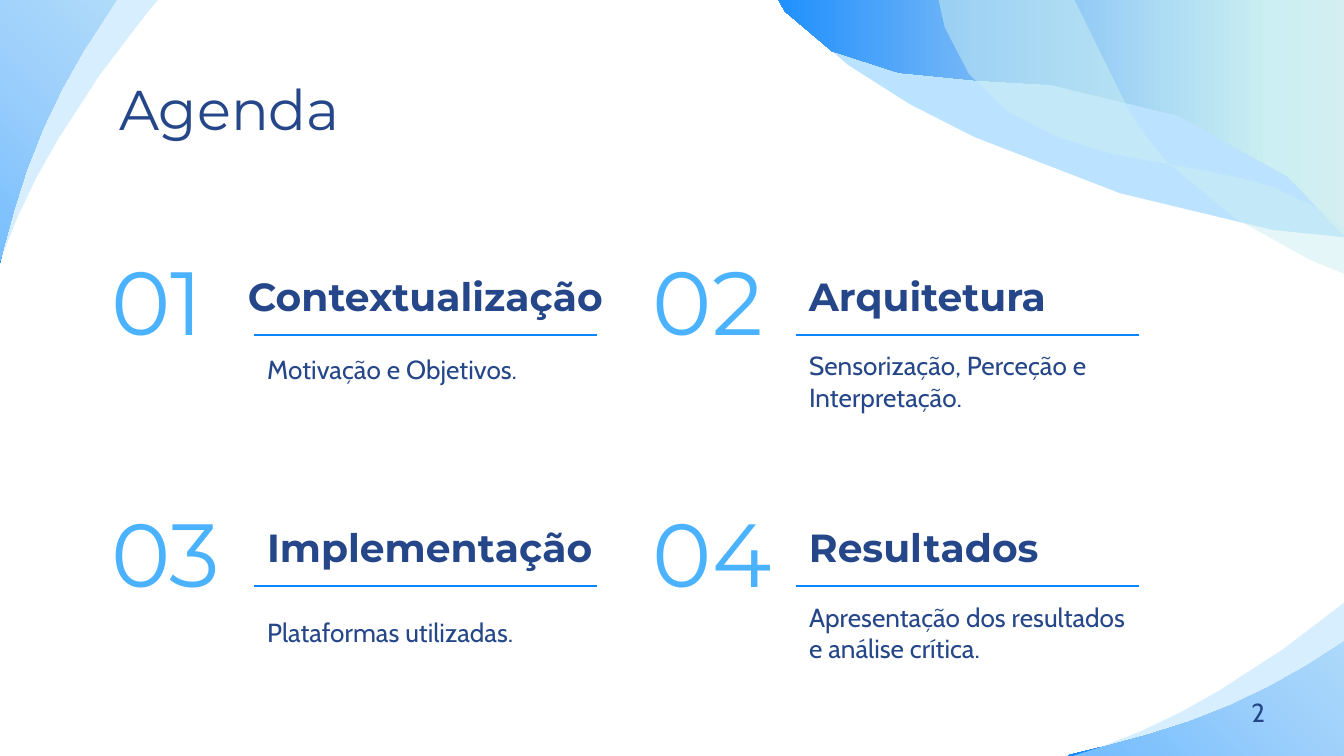
from dataclasses import dataclass, field
from lxml.etree import SubElement
from pptx import Presentation
from pptx.dml.color import RGBColor
from pptx.enum.shapes import MSO_CONNECTOR as Connector
from pptx.enum.text import MSO_ANCHOR as Anchor, MSO_AUTO_SIZE as AutoSize, PP_ALIGN as Align
from pptx.oxml.ns import qn
from pptx.util import Cm, Pt


@dataclass(frozen=True)
class Theme:
    ink: str = "254789"
    number: str = "4BB2FF"
    rule: str = "0885FF"
    pale: str = "BBE2FF"
    mint: str = "CBEFF2"
    gradient: tuple = ((0, "E5ECEF"), (28, "CBEFF2"), (66, "77B8F7"), (100, "0885FF"))
    heading_font: str = "Montserrat"
    body_font: str = "Cabin"
    title_size: float = 30
    number_size: float = 48
    heading_size: float = 21
    body_size: float = 14


@dataclass(frozen=True)
class Topic:
    heading: str
    detail: str
    heading_shift: float = 0
    heading_align: Align = Align.LEFT
    detail_shift: float = 0


TOPICS = [
    Topic("Contextualização", "Motivação e Objetivos.", -0.53, Align.CENTER, -0.23),
    Topic("Arquitetura", "Sensorização, Perceção e Interpretação."),
    Topic("Implementação", "Plataformas utilizadas."),
    Topic("Resultados", "Apresentação dos resultados e análise crítica."),
]

CM_PER_UNIT = 2.54
CURVE_STEPS = 3

EDGE_WAVE = [
    (1.41, -1.7), (1.29, -1.7, 1.17, -1.68, 1.06, -1.65),
    (0.74, -1.54, 0.47, -1.29, 0.29, -1), (0.11, -0.71, 0.01, -0.37, -0.06, -0.03),
    (-0.2, 0.69, -0.2, 1.44, -0.05, 2.16), (0.02, 1.86, 0.1, 1.55, 0.2, 1.26),
    (0.31, 0.95, 0.45, 0.66, 0.62, 0.38), (0.91, -0.12, 1.28, -0.57, 1.66, -1.01),
    (1.79, -1.16, 2.14, -1.43, 1.86, -1.59), (1.73, -1.67, 1.57, -1.7, 1.41, -1.7),
]
PALE_WAVE = [
    (5.23, -1.85), (5.19, -1.67, 5.17, -1.48, 5.19, -1.3),
    (5.23, -0.76, 5.52, -0.25, 5.9, 0.13), (6.28, 0.52, 6.76, 0.79, 7.25, 1.02),
    (8.31, 1.51, 9.46, 1.79, 10.63, 1.83), (10.19, 1.6, 9.75, 1.37, 9.33, 1.1),
    (8.9, 0.82, 8.51, 0.49, 8.14, 0.14), (7.48, -0.5, 6.92, -1.23, 6.39, -1.97),
    (6.2, -2.23, 5.92, -2.88, 5.56, -2.5), (5.4, -2.33, 5.29, -2.1, 5.23, -1.85),
]
BLUE_WAVE = [
    (5.38, -3.26), (5.5, -2.94, 5.53, -2.58, 5.52, -2.21),
    (5.52, -1.73, 5.45, -1.23, 5.51, -0.77), (5.57, -0.3, 5.77, 0.15, 6.19, 0.38),
    (6.64, 0.62, 7.26, 0.58, 7.82, 0.63), (8.83, 0.74, 9.7, 1.23, 10.2, 1.96),
    (11.03, 1.45), (7.35, -4.49),
]
MINT_RIBBON = [
    [(5.43, -2.71), (5.47, -2.21, 5.87, -1.81, 6.3, -1.54),
     (6.49, -1.42, 6.69, -1.32, 6.89, -1.2), (6.88, -1.38, 6.85, -1.56, 6.78, -1.73),
     (6.58, -2.29, 6.02, -2.69, 5.43, -2.71)],
    [(6.89, -1.2), (6.91, -0.99, 6.91, -0.78, 6.91, -0.57),
     (6.93, -0.18, 6.97, 0.23, 7.21, 0.55), (7.45, 0.88, 7.86, 1.05, 8.26, 1.14),
     (8.41, 1.17, 8.55, 1.2, 8.7, 1.22), (8.59, 1.1, 8.49, 0.97, 8.4, 0.82),
     (8.11, 0.31, 7.95, -0.28, 7.54, -0.71), (7.36, -0.91, 7.13, -1.06, 6.89, -1.2)],
    [(8.7, 1.22), (9.14, 1.68, 9.76, 1.97, 10.36, 2.18),
     (10.23, 1.79, 9.85, 1.52, 9.47, 1.39), (9.22, 1.31, 8.96, 1.27, 8.7, 1.22)],
]


def trace(outline):
    points = [outline[0]]
    for segment in outline[1:]:
        if len(segment) == 2:
            points.append(segment)
            continue
        controls = [points[-1], *zip(segment[::2], segment[1::2])]
        for step in range(1, CURVE_STEPS + 1):
            t = step / CURVE_STEPS
            weights = ((1 - t) ** 3, 3 * t * (1 - t) ** 2, 3 * t * t * (1 - t), t ** 3)
            points.append(tuple(sum(w * c[axis] for w, c in zip(weights, controls))
                                for axis in (0, 1)))
    return points


def shift(points, dx, dy):
    return [(x + dx, y + dy) for x, y in points]


def mirror_to_corner(points):
    return [(10.11 - y, 5.57 - x) for x, y in points]


def write(frame, text, *, size, color, font, bold=False, align=Align.LEFT,
          anchor=Anchor.MIDDLE, inset=0.25):
    frame.word_wrap = True
    frame.auto_size = AutoSize.NONE
    frame.vertical_anchor = anchor
    frame.margin_left = frame.margin_right = Cm(0.25)
    frame.margin_top = frame.margin_bottom = Cm(inset)
    frame.text = text
    paragraph = frame.paragraphs[0]
    paragraph.alignment = align
    paragraph.space_before = Pt(0)
    properties = paragraph._p.get_or_add_pPr()
    properties.set("marL", "0")
    properties.set("indent", "0")
    SubElement(properties, qn("a:buNone"))
    style = paragraph.runs[0].font
    style.size, style.bold, style.name = Pt(size), bold, font
    style.color.rgb = RGBColor.from_string(color)


@dataclass
class Deck:
    slide: object
    theme: Theme = field(default_factory=Theme)

    def placeholder(self, index, text, box, **style):
        holder = self.slide.placeholders[index]
        holder.left, holder.top, holder.width, holder.height = map(Cm, box)
        write(holder.text_frame, text, **style)

    def label(self, text, box, **style):
        write(self.slide.shapes.add_textbox(*map(Cm, box)).text_frame, text, **style)

    def rule(self, left, top, width):
        line = self.slide.shapes.add_connector(
            Connector.STRAIGHT, Cm(left), Cm(top), Cm(left + width), Cm(top))
        line.line.color.rgb = RGBColor.from_string(self.theme.rule)
        line.line.width = Pt(0.75)
        SubElement(line._element.spPr, qn("a:effectLst"))

    def wave(self, contours, color=None, opacity=100, direction=135):
        contours = [[(Cm(x * CM_PER_UNIT), Cm(y * CM_PER_UNIT)) for x, y in contour]
                    for contour in contours]
        builder = self.slide.shapes.build_freeform(*contours[0][0])
        builder.add_line_segments(contours[0][1:])
        for contour in contours[1:]:
            builder.move_to(*contour[0])
            builder.add_line_segments(contour[1:])
        wave = builder.convert_to_shape()
        wave.shadow.inherit = False
        wave.line.fill.background()
        if color:
            wave.fill.solid()
            wave.fill.fore_color.rgb = RGBColor.from_string(color)
            tint = wave._element.spPr.find(qn("a:solidFill"))[0]
            SubElement(tint, qn("a:alpha"), val=str(opacity * 1000))
            return
        wave.fill.gradient()
        wave.fill.gradient_angle = 360 - direction
        stops = wave._element.spPr.find(qn("a:gradFill")).find(qn("a:gsLst"))
        for stop in list(stops):
            stops.remove(stop)
        for position, shade in self.theme.gradient:
            stop = SubElement(stops, qn("a:gs"), pos=str(position * 1000))
            SubElement(stop, qn("a:srgbClr"), val=shade)

    def topic(self, order, topic):
        theme = self.theme
        row, column = divmod(order, 2)
        x, y = 1.85 + 10.24 * column, 4.85 + 4.75 * row
        text_x = x + 2.95
        self.label(f"{order + 1:02}", (x, y, 2.95, 1.65), size=theme.number_size,
                   color=theme.number, font=theme.heading_font)
        self.label(topic.heading, (text_x + topic.heading_shift, y, 7.54, 1.47),
                   size=theme.heading_size, color=theme.ink, font=theme.heading_font,
                   bold=True, align=topic.heading_align)
        self.rule(text_x, y + 1.48, 6.49)
        self.placeholder(order + 1, topic.detail,
                         (text_x, y + 1.68 + topic.detail_shift, 6.5, 1.35),
                         size=theme.body_size, color=theme.ink, font=theme.body_font)


def main():
    presentation = Presentation()
    presentation.slide_width, presentation.slide_height = Cm(25.4), Cm(14.29)
    deck = Deck(presentation.slides.add_slide(presentation.slide_layouts[4]))
    theme = deck.theme

    edge = trace(EDGE_WAVE)
    pale_edge = shift(edge, -0.19, 0.66)
    deck.wave([mirror_to_corner(edge)])
    deck.wave([mirror_to_corner(pale_edge)], theme.pale, 58)
    deck.wave([trace(PALE_WAVE)], theme.pale)
    deck.wave([trace(BLUE_WAVE)], direction=180)
    deck.wave([trace(part) for part in MINT_RIBBON], theme.mint, 50)
    deck.wave([edge])
    deck.wave([pale_edge], theme.pale, 58)

    deck.placeholder(0, "Agenda", (2, 1.25, 21.4, 1.6), size=theme.title_size,
                     color=theme.ink, font=theme.heading_font)
    for order, topic in enumerate(TOPICS):
        deck.topic(order, topic)
    deck.label("2", (23.4, 13.03, 1.1, 0.86), size=theme.body_size, color=theme.ink,
               font=theme.body_font, anchor=Anchor.TOP, inset=0.13)
    presentation.save("out.pptx")


if __name__ == "__main__":
    main()
